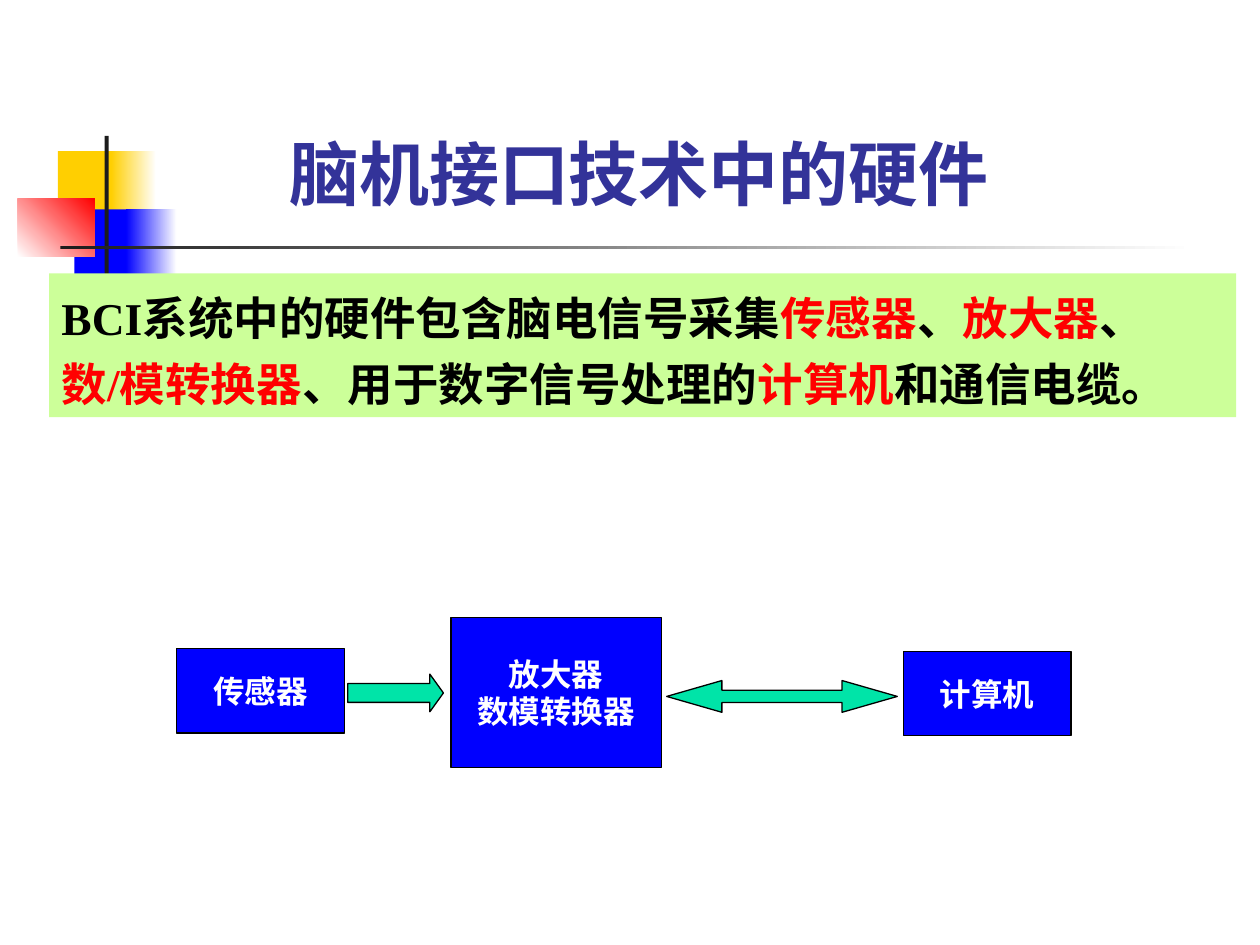
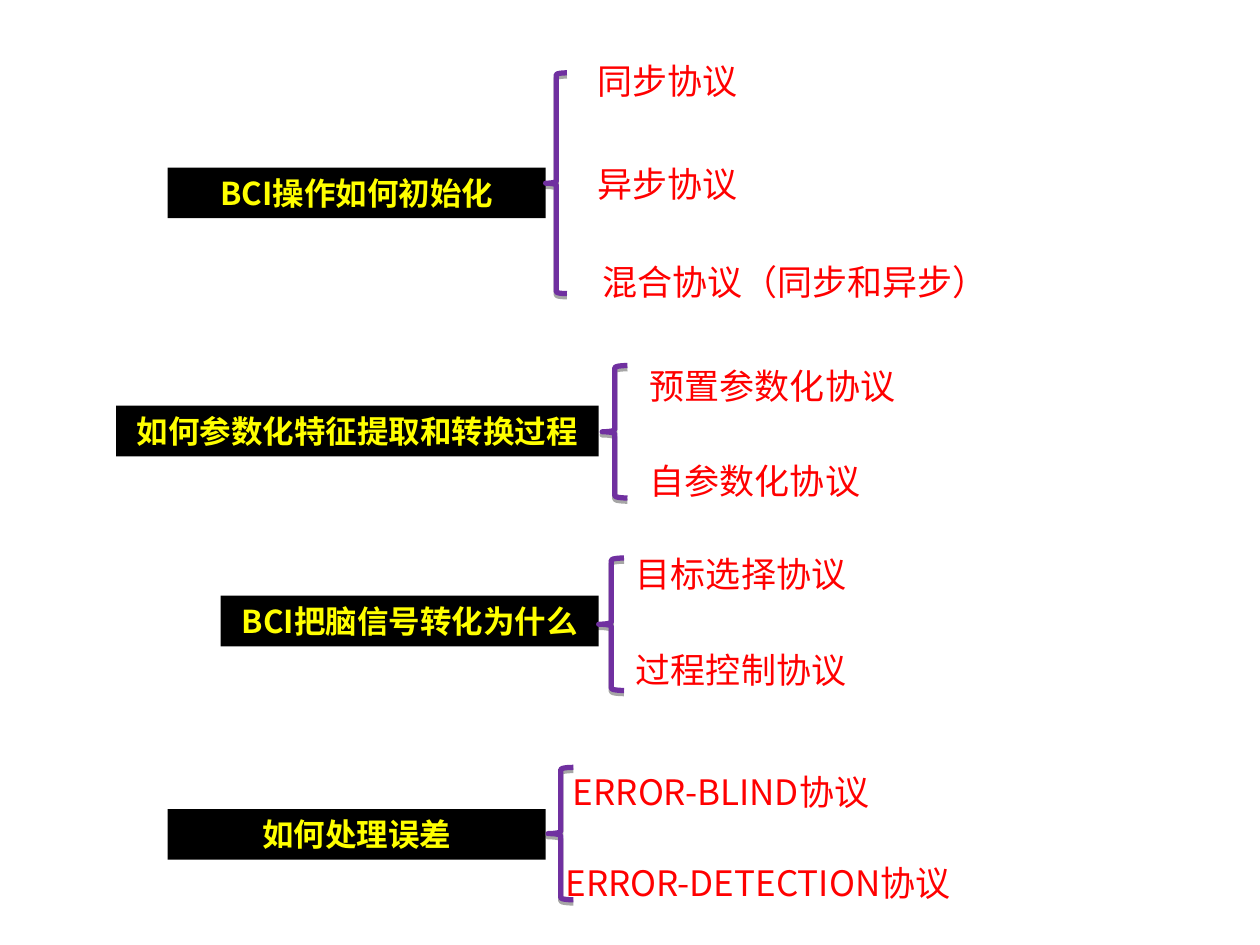
from dataclasses import dataclass

from lxml.etree import SubElement
from pptx import Presentation
from pptx.dml.color import RGBColor
from pptx.enum.shapes import MSO_SHAPE
from pptx.enum.text import MSO_ANCHOR, MSO_AUTO_SIZE, PP_ALIGN
from pptx.oxml.ns import qn
from pptx.util import Cm, Pt


@dataclass(frozen=True)
class Theme:
    white: str = "FFFFFF"
    black: str = "000000"
    ink: str = "1C1C1C"
    yellow: str = "FFCF01"
    blue: str = "0000FF"
    red: str = "FF0000"
    title: str = "333399"
    panel: str = "CCFF99"
    arrow: str = "00E4A8"
    question: str = "FFFF00"
    brace: str = "7030A0"
    title_size: int = 40
    panel_size: int = 26
    answer_size: int = 20
    label_size: int = 18
    serif: str = "Times New Roman"
    sans: str = "Karla"
    chinese: str = "Noto Sans CJK SC"
    outline: float = 0.75
    brace_line: float = 3


class SlideBuilder:
    def __init__(self, deck, theme):
        self.deck = deck
        self.theme = theme
        self.page = None

    def new_page(self, layout_name):
        layout = self.deck.slide_layouts.get_by_name(layout_name)
        self.page = self.deck.slides.add_slide(layout)

    def style_span(self, span, size, color, font, bold):
        span.font.size = Pt(size)
        span.font.color.rgb = RGBColor.from_string(color)
        span.font.name = font
        span.font.bold = bold
        latin = span.font._element.find(qn("a:latin"))
        east_asian = latin.makeelement(qn("a:ea"), {"typeface": self.theme.chinese})
        latin.addnext(east_asian)

    def set_text(self, box, lines, size, color, font, bold=True, align=PP_ALIGN.CENTER,
                 anchor=MSO_ANCHOR.TOP, wrap=True, spacing=1.0):
        frame = box.text_frame
        frame.text = "\n".join(lines)
        frame.word_wrap = wrap
        frame.auto_size = MSO_AUTO_SIZE.NONE
        frame.vertical_anchor = anchor
        for para in frame.paragraphs:
            para.alignment = align
            para.line_spacing = spacing
            for span in para.runs:
                self.style_span(span, size, color, font, bold)

    def title(self, text, place):
        box = self.page.shapes.title
        box.left, box.top, box.width, box.height = map(Cm, place)
        self.set_text(box, [text], self.theme.title_size, self.theme.title,
                      self.theme.serif, anchor=MSO_ANCHOR.BOTTOM)

    def shape(self, kind, place, fill=None, line=None, line_width=None, adjustments=()):
        shape = self.page.shapes.add_shape(kind, *map(Cm, place))
        shape.shadow.inherit = False
        for index, value in enumerate(adjustments):
            shape.adjustments[index] = value
        if fill:
            shape.fill.solid()
            shape.fill.fore_color.rgb = RGBColor.from_string(fill)
        else:
            shape.fill.background()
        if line:
            shape.line.color.rgb = RGBColor.from_string(line)
            shape.line.width = Pt(line_width or self.theme.outline)
        else:
            shape.line.fill.background()
        return shape

    def rectangle(self, place, fill, line=None):
        return self.shape(MSO_SHAPE.RECTANGLE, place, fill, line)

    def fade(self, place, start, end, angle=0):
        box = self.rectangle(place, start)
        box.fill.gradient()
        box.fill.gradient_angle = angle
        for stop, color in zip(box.fill.gradient_stops, (start, end)):
            stop.color.rgb = RGBColor.from_string(color)

    def ornament(self):
        theme = self.theme
        self.rectangle((1.17, 3.05, 1.22, 1.32), theme.yellow)
        self.fade((2.24, 3.05, 0.91, 1.32), theme.yellow, theme.white)
        self.rectangle((1.5, 4.22, 1.17, 1.32), theme.blue)
        self.fade((2.54, 4.22, 1.02, 1.32), theme.blue, theme.white)
        self.fade((0.36, 4.01, 1.55, 1.17), theme.white, theme.red, 45)
        self.rectangle((2.11, 2.74, 0.08, 2.92), theme.ink)
        self.fade((1.22, 4.95, 22.86, 0.08), theme.ink, theme.white)

    def panel(self, place, pieces):
        theme = self.theme
        box = self.rectangle(place, theme.panel)
        box.text_frame.word_wrap = True
        box.text_frame.vertical_anchor = MSO_ANCHOR.TOP
        para = box.text_frame.paragraphs[0]
        para.alignment = PP_ALIGN.LEFT
        para.line_spacing = 1.2
        for text, color in pieces:
            span = para.add_run()
            span.text = text
            self.style_span(span, theme.panel_size, color, theme.serif, True)

    def device(self, place, lines):
        theme = self.theme
        box = self.rectangle(place, theme.blue, theme.black)
        self.set_text(box, lines, theme.label_size, theme.white, theme.sans,
                      anchor=MSO_ANCHOR.MIDDLE, wrap=False)

    def arrow(self, kind, place, adjustments):
        self.shape(kind, place, self.theme.arrow, self.theme.black, adjustments=adjustments)

    def question(self, text, left, top, width):
        theme = self.theme
        box = self.rectangle((left, top, width, 1.02), theme.black)
        self.set_text(box, [text], theme.label_size, theme.question, theme.chinese)

    def brace(self, place):
        brace = self.shape(MSO_SHAPE.LEFT_BRACE, place, line=self.theme.brace,
                           line_width=self.theme.brace_line)
        effects = brace._element.spPr.find(qn("a:effectLst"))
        shadow = SubElement(effects, qn("a:outerShdw"), blurRad="0",
                            dist=str(Pt(1.8)), dir="5400000", rotWithShape="0")
        color = SubElement(shadow, qn("a:srgbClr"), val=self.theme.black)
        SubElement(color, qn("a:alpha"), val="35000")

    def answer(self, text, left, top, width, spacing, wrap):
        theme = self.theme
        height = 1.27 if spacing > 1 else 1.12
        box = self.page.shapes.add_textbox(*map(Cm, (left, top, width, height)))
        self.set_text(box, [text], theme.answer_size, theme.red, theme.chinese, bold=False,
                      align=PP_ALIGN.LEFT, wrap=wrap, spacing=spacing)


@dataclass(frozen=True)
class Topic:
    question: tuple
    brace: tuple
    answers: tuple
    spacing: float = 1.0
    wrap: bool = False


TOPICS = (
    Topic(("BCI操作如何初始化", 3.38, 3.38, 7.62), (11, 1.47, 0.43, 4.45),
          (("同步协议", 11.79, 1.07, 3.33),
           ("异步协议", 11.79, 3.15, 3.33),
           ("混合协议（同步和异步）", 11.89, 5.13, 8.28))),
    Topic(("如何参数化特征提取和转换过程", 2.34, 8.18, 9.73), (12.14, 7.37, 0.51, 2.67),
          (("预置参数化协议", 12.85, 7.06, 5.46),
           ("自参数化协议", 12.85, 8.97, 4.75)), spacing=1.2),
    Topic(("BCI把脑信号转化为什么", 4.45, 12.01, 7.62), (12.07, 11.25, 0.51, 2.67),
          (("目标选择协议", 12.57, 11.02, 5.08),
           ("过程控制协议", 12.57, 12.95, 12.7)), wrap=True),
    Topic(("如何处理误差", 3.38, 16.31, 7.62), (11.05, 15.47, 0.51, 2.67),
          (("ERROR-BLIND协议", 11.3, 15.24, 6.76),
           ("ERROR-DETECTION协议", 11.15, 17.07, 8.46)), spacing=1.2),
)


def build_hardware(builder):
    black, red = builder.theme.black, builder.theme.red
    builder.new_page("Title Only")
    builder.ornament()
    builder.title("脑机接口技术中的硬件", (3.81, 2.11, 18.14, 2.34))
    builder.panel((0.99, 5.51, 23.93, 2.9), (
        ("BCI系统中的硬件包含脑电信号采集", black), ("传感器", red), ("、", black),
        ("放大器", red), ("、", black), ("数/模转换器", red),
        ("、用于数字信号处理的", black), ("计算机", red), ("和通信电缆。", black)))
    builder.arrow(MSO_SHAPE.LEFT_RIGHT_ARROW, (13.44, 13.72, 4.65, 0.64), (0.39, 1.74))
    builder.arrow(MSO_SHAPE.RIGHT_ARROW, (7.01, 13.59, 1.93, 0.76), (0.5, 0.36))
    builder.device((9.09, 12.45, 4.24, 3.02), ["放大器", "数模转换器"])
    builder.device((3.56, 13.08, 3.38, 1.7), ["传感器"])
    builder.device((18.21, 13.13, 3.38, 1.7), ["计算机"])


def build_protocols(builder):
    builder.new_page("Blank")
    for topic in TOPICS:
        builder.question(*topic.question)
        builder.brace(topic.brace)
        for answer in topic.answers:
            builder.answer(*answer, topic.spacing, topic.wrap)


def main():
    deck = Presentation()
    deck.slide_width, deck.slide_height = Cm(25.4), Cm(19.05)
    builder = SlideBuilder(deck, Theme())
    build_hardware(builder)
    build_protocols(builder)
    deck.save("out.pptx")


if __name__ == "__main__":
    main()
